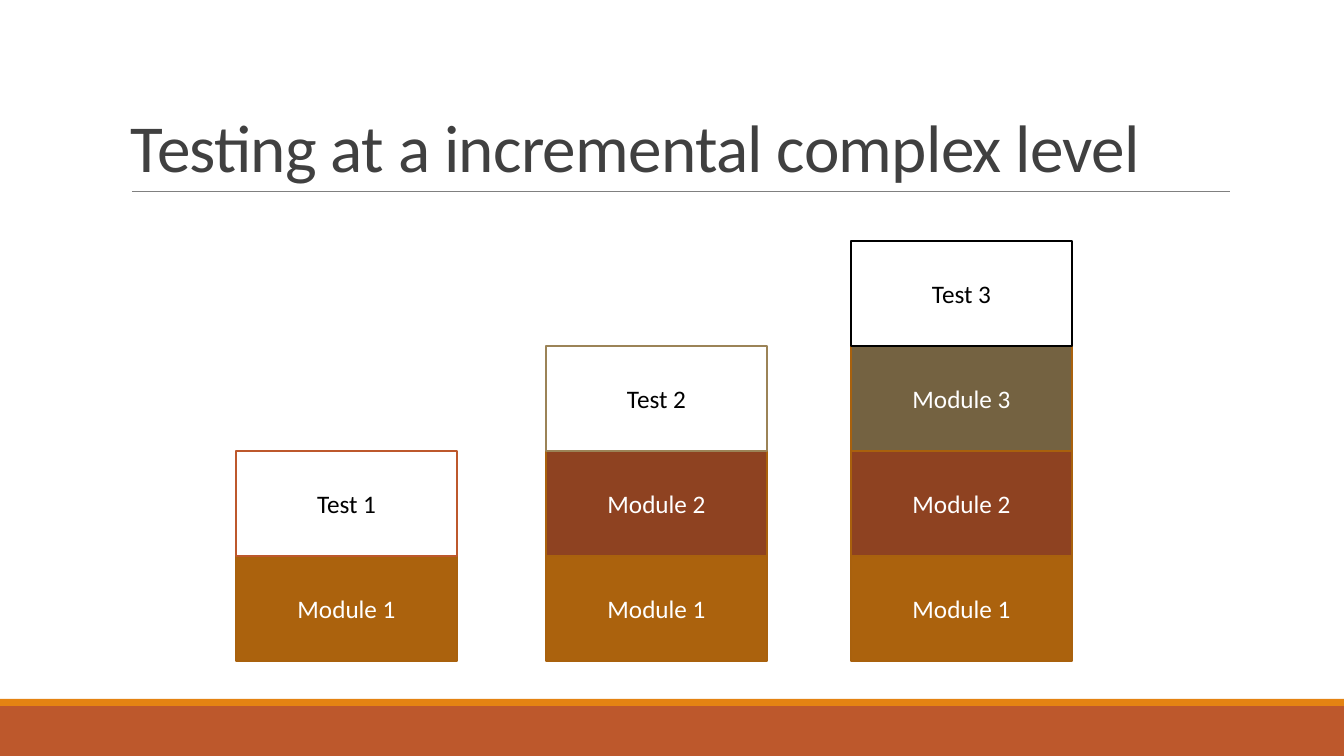
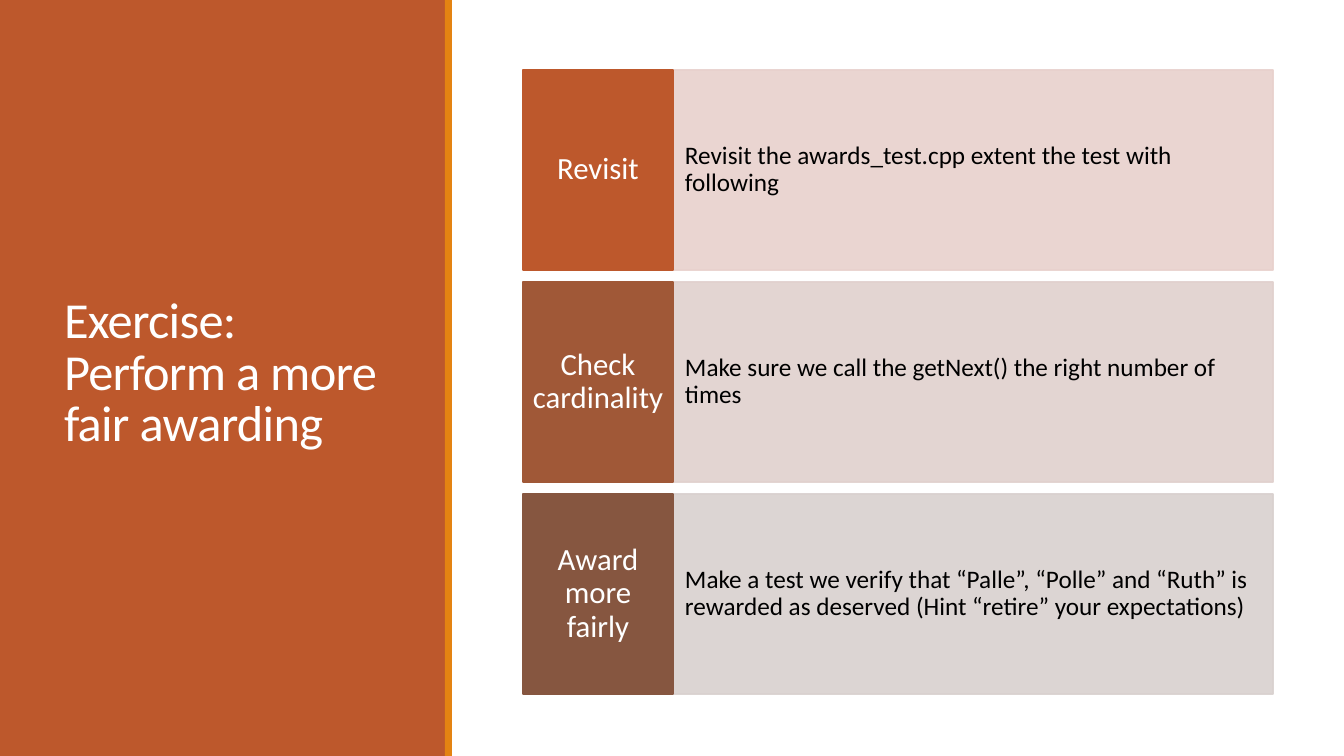
from dataclasses import dataclass

from lxml import etree
from pptx import Presentation
from pptx.dml.color import RGBColor
from pptx.enum.shapes import MSO_CONNECTOR, MSO_SHAPE
from pptx.enum.text import MSO_ANCHOR, MSO_AUTO_SIZE, PP_ALIGN
from pptx.oxml.ns import qn
from pptx.util import Emu, Pt

RECTANGLE, STRAIGHT = MSO_SHAPE.RECTANGLE, MSO_CONNECTOR.STRAIGHT
LEFT, CENTER = PP_ALIGN.LEFT, PP_ALIGN.CENTER
MIDDLE, BOTTOM = MSO_ANCHOR.MIDDLE, MSO_ANCHOR.BOTTOM
NO_AUTOFIT = MSO_AUTO_SIZE.NONE

# Shared look
PAGE_WIDTH, PAGE_HEIGHT = 1344, 756
EMU_PER_PIXEL = 12192000 / PAGE_WIDTH
TITLE_ONLY = 5
FONT = "Calibri"
RUST, ORANGE, OCHRE = "BD582C", "E48312", "AB620D"
BRICK, OLIVE, SAND = "8E4221", "746241", "9B8357"
MODULE_EDGE, RULE_GRAY, TITLE_GRAY = "A9610D", "808080", "404040"
WHITE, BLACK = "FFFFFF", "000000"
EDGE_WIDTH = 1.25


@dataclass(frozen=True)
class Area:
    left: int
    top: int
    width: int
    height: int


@dataclass(frozen=True)
class TextStyle:
    size: int
    color: str
    align: PP_ALIGN = CENTER
    anchor: MSO_ANCHOR = MIDDLE
    line_spacing: float = 1.0
    side_inset: int = 10
    tracking: int = 0


@dataclass(frozen=True)
class Block:
    text: str
    fill: str
    edge: str
    style: TextStyle


@dataclass(frozen=True)
class Stack:
    left: int
    blocks: tuple[Block, ...]


@dataclass(frozen=True)
class Step:
    label: str
    detail: str
    label_fill: str
    detail_fill: str


def px(pixels: float) -> Emu:
    return Emu(round(pixels * EMU_PER_PIXEL))


def rgb(code: str) -> RGBColor:
    return RGBColor.from_string(code)


def set_all(target, values: dict) -> None:
    for name, value in values.items():
        setattr(target, name, value)


def place(shape, area: Area) -> None:
    set_all(shape, {"left": px(area.left), "top": px(area.top),
                    "width": px(area.width), "height": px(area.height)})


def write(shape, text: str, style: TextStyle) -> None:
    frame = shape.text_frame
    set_all(frame, {"word_wrap": True, "auto_size": NO_AUTOFIT,
                    "vertical_anchor": style.anchor,
                    "margin_left": px(style.side_inset),
                    "margin_right": px(style.side_inset),
                    "margin_top": px(5), "margin_bottom": px(5)})
    para = frame.paragraphs[0]
    set_all(para, {"alignment": style.align, "line_spacing": style.line_spacing})
    span = para.add_run()
    span.text = text
    set_all(span.font, {"name": FONT, "size": Pt(style.size)})
    span.font.color.rgb = rgb(style.color)
    if style.tracking:
        span.font._element.set("spc", str(style.tracking))


def add_box(page, area: Area, fill: str, edge: str | None = None, opacity: int = 100):
    box = page.shapes.add_shape(RECTANGLE, 0, 0, 0, 0)
    place(box, area)
    box.shadow.inherit = False
    box.fill.solid()
    box.fill.fore_color.rgb = rgb(fill)
    if edge:
        box.line.color.rgb = rgb(edge)
        box.line.width = Pt(EDGE_WIDTH)
    else:
        box.line.fill.background()
    if opacity < 100:
        for color in box.element.spPr.iter(qn("a:srgbClr")):
            etree.SubElement(color, qn("a:alpha")).set("val", str(opacity * 1000))
    return box


def add_rule(page, left: int, right: int, top: int) -> None:
    rule = page.shapes.add_connector(STRAIGHT, px(left), px(top), px(right), px(top))
    rule.line.color.rgb = rgb(RULE_GRAY)
    rule.line.width = Pt(0.5)
    etree.SubElement(rule._element.spPr, qn("a:effectLst"))


def add_title(page, text: str, area: Area, style: TextStyle) -> None:
    title = page.shapes.title
    place(title, area)
    write(title, text, style)
    # Bring the title in front of the panels
    title.element.getparent().append(title.element)


def add_stack(page, stack: Stack) -> None:
    for level, block in enumerate(stack.blocks, start=1):
        top = STACK_BOTTOM - level * BLOCK_HEIGHT
        area = Area(stack.left, top, BLOCK_WIDTH, BLOCK_HEIGHT)
        write(add_box(page, area, block.fill, block.edge), block.text, block.style)


def add_step(page, step: Step, top: int) -> None:
    detail_area = Area(LABEL_LEFT + LABEL_WIDTH, top, DETAIL_WIDTH, STEP_HEIGHT)
    detail = add_box(page, detail_area, step.detail_fill, step.detail_fill, opacity=90)
    write(detail, step.detail, DETAIL_STYLE)
    label_area = Area(LABEL_LEFT, top, LABEL_WIDTH, STEP_HEIGHT)
    label = add_box(page, label_area, step.label_fill, step.label_fill)
    write(label, step.label, LABEL_STYLE)


# Text styles
TOP_TITLE = TextStyle(48, TITLE_GRAY, LEFT, BOTTOM, 0.85, tracking=-50)
SIDE_TITLE = TextStyle(36, WHITE, LEFT, MIDDLE, 0.85, tracking=-50)
MODULE_STYLE = TextStyle(18, WHITE)
TEST_STYLE = TextStyle(18, BLACK)
LABEL_STYLE = TextStyle(22, WHITE, line_spacing=0.9, side_inset=8)
DETAIL_STYLE = TextStyle(18, BLACK, LEFT, line_spacing=0.9, side_inset=12)

# Stacks of modules, each topped by its test
BLOCK_WIDTH, BLOCK_HEIGHT, STACK_BOTTOM = 221, 105, 661
MODULES = tuple(
    Block(f"Module {number}", fill, MODULE_EDGE, MODULE_STYLE)
    for number, fill in enumerate((OCHRE, BRICK, OLIVE), start=1)
)
STACKS = [
    Stack(left, MODULES[:count] + (Block(f"Test {count}", WHITE, edge, TEST_STYLE),))
    for count, (left, edge) in enumerate(
        ((236, RUST), (546, SAND), (851, BLACK)), start=1)
]

# Exercise steps
LABEL_LEFT, LABEL_WIDTH, DETAIL_WIDTH = 523, 150, 600
STEP_TOP, STEP_HEIGHT, STEP_GAP = 70, 200, 12
STEPS = [
    Step("Revisit", "Revisit the awards_test.cpp extent the test with following",
         RUST, "E8D1CD"),
    Step("Check cardinality", "Make sure we call the getNext() the right number of times",
         "A05837", "E1D1CE"),
    Step("Award more fairly",
         "Make a test we verify that “Palle”, “Polle” and “Ruth” is rewarded "
         "as deserved (Hint “retire” your expectations)",
         "865640", "D9D1CF"),
]


def build_stacks_page(deck) -> None:
    page = deck.slides.add_slide(deck.slide_layouts[TITLE_ONLY])
    add_box(page, Area(0, 706, PAGE_WIDTH, 50), RUST)
    add_box(page, Area(0, 699, PAGE_WIDTH, 7), ORANGE)
    add_rule(page, 132, 1230, 191)
    add_title(page, "Testing at a incremental complex level",
              Area(121, 31, 1109, 160), TOP_TITLE)
    for stack in STACKS:
        add_stack(page, stack)


def build_exercise_page(deck) -> None:
    page = deck.slides.add_slide(deck.slide_layouts[TITLE_ONLY])
    add_box(page, Area(0, 0, 446, PAGE_HEIGHT), RUST)
    add_box(page, Area(445, 0, 7, PAGE_HEIGHT), ORANGE)
    add_title(page, "Exercise: Perform a more fair awarding",
              Area(54, 57, 340, 636), SIDE_TITLE)
    for index, step in enumerate(STEPS):
        add_step(page, step, STEP_TOP + index * (STEP_HEIGHT + STEP_GAP))


deck = Presentation()
set_all(deck, {"slide_width": px(PAGE_WIDTH), "slide_height": px(PAGE_HEIGHT)})
build_stacks_page(deck)
build_exercise_page(deck)
deck.save("out.pptx")
